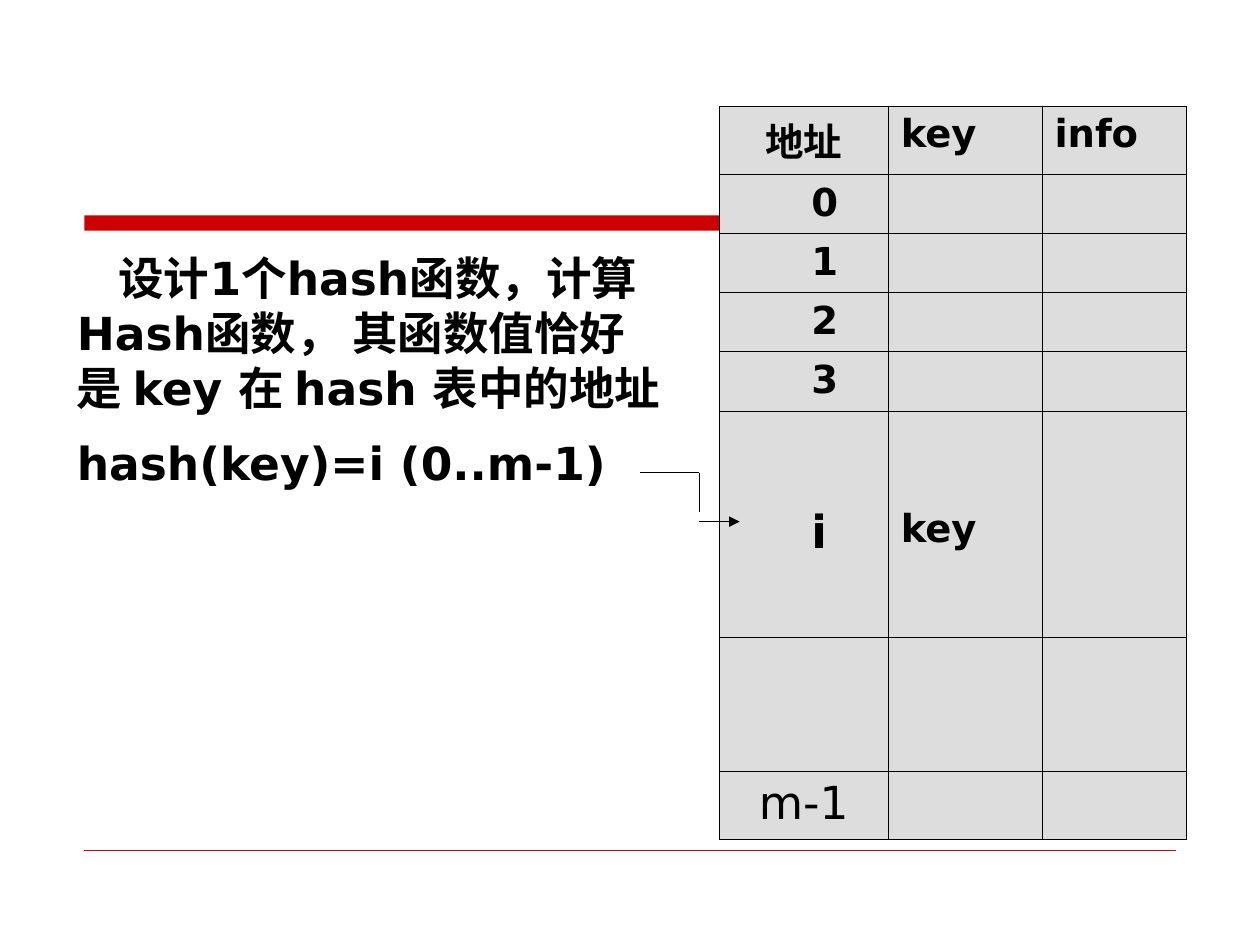
from pptx import Presentation
from pptx.dml.color import RGBColor
from pptx.enum.dml import MSO_LINE
from pptx.enum.shapes import MSO_CONNECTOR, MSO_SHAPE
from pptx.enum.text import MSO_ANCHOR, MSO_AUTO_SIZE, PP_ALIGN
from pptx.oxml.ns import qn
from pptx.util import Inches, Pt
from lxml import etree

STRAIGHT = MSO_CONNECTOR.STRAIGHT
RECTANGLE = MSO_SHAPE.RECTANGLE
SOLID = MSO_LINE.SOLID
TOP = MSO_ANCHOR.TOP
NO_FIT = MSO_AUTO_SIZE.NONE
LEFT, CENTER = PP_ALIGN.LEFT, PP_ALIGN.CENTER

FONT = "DejaVu Sans"
BLACK, RED, GRAY = "000000", "CC0000", "DDDDDD"
DIGIT_INDENT = 0.63

# text, first-line indent in inches, space before in points
BODY = [
    ("设计1个hash函数，计算", -0.18, 0),
    ("Hash函数， 其函数值恰好", -0.51, 6.5),
    ("是 key 在 hash 表中的地址", -0.51, 6.5),
    ("hash(key)=i (0..m-1)", -0.51, 18),
]
ROWS = [
    ("地址", "key", "info"),
    ("0", "", ""),
    ("1", "", ""),
    ("2", "", ""),
    ("3", "", ""),
    ("i", "key", ""),
    ("", "", ""),
    ("m-1", "", ""),
]
COL_WIDTHS = [1.34, 1.22, 1.15]
ROW_HEIGHTS = [0.47] * 5 + [1.8, 1.06, 0.54]
CENTERED = ("地址", "m-1")
LARGE = ("i", "m-1")


def rgb(color):
    """Turn a hex string into a colour."""
    return RGBColor.from_string(color)


def format_runs(p, size, bold=True):
    """Apply the slide's font to every run of a paragraph."""
    for r in p.runs:
        r.font.name = FONT
        r.font.size = Pt(size)
        r.font.bold = bold
        r.font.color.rgb = rgb(BLACK)


def add_bar(s, left, top, width, height):
    """Add the red bar."""
    sp = s.shapes.add_shape(RECTANGLE, *map(Inches, (left, top, width, height)))
    sp.shadow.inherit = False
    sp.fill.solid()
    sp.fill.fore_color.rgb = rgb(RED)
    sp.line.fill.background()


def add_line(s, start, end, color=BLACK, width=0.75, arrow=False):
    """Add a straight line, with an arrowhead at its end if wanted."""
    sp = s.shapes.add_connector(STRAIGHT, *map(Inches, (*start, *end)))
    sp.line.color.rgb = rgb(color)
    sp.line.width = Pt(width)
    sp.line.dash_style = SOLID
    if arrow:
        etree.SubElement(sp.line._get_or_add_ln(), qn("a:tailEnd"), type="triangle")
    etree.SubElement(sp._element.spPr, qn("a:effectLst"))


def fill_body(sp):
    """Place the body placeholder and write its hanging paragraphs."""
    sp.left, sp.top, sp.width, sp.height = map(Inches, (0.51, 2.02, 4.96, 5.83))
    tf = sp.text_frame
    tf.auto_size = NO_FIT
    tf.vertical_anchor = TOP
    tf.text = "\n".join(text for text, _, _ in BODY)
    for p, (_, indent, before) in zip(tf.paragraphs, BODY):
        pPr = p._p.get_or_add_pPr()
        pPr.set("marL", str(Inches(0.51)))
        pPr.set("indent", str(Inches(indent)))
        etree.SubElement(pPr, qn("a:buNone"))
        p.alignment = LEFT
        p.line_spacing = 0.8
        p.space_before = Pt(before)
        format_runs(p, 26)


def add_borders(cell):
    """Draw thin black borders on all sides of a cell."""
    tcPr = cell._tc.get_or_add_tcPr()
    for i, side in enumerate(("a:lnL", "a:lnR", "a:lnT", "a:lnB")):
        ln = etree.Element(qn(side), w=str(Pt(0.45)))
        fill = etree.SubElement(ln, qn("a:solidFill"))
        etree.SubElement(fill, qn("a:srgbClr"), val=BLACK)
        tcPr.insert(i, ln)


def fill_cell(cell, text):
    """Write and format one table cell."""
    cell.fill.solid()
    cell.fill.fore_color.rgb = rgb(GRAY)
    add_borders(cell)
    cell.text = text
    p = cell.text_frame.paragraphs[0]
    p.alignment = CENTER if text in CENTERED else LEFT
    format_runs(p, 26 if text in LARGE else 22, text != "m-1")


def add_hash_table(s):
    """Add the hash table with its address, key and info columns."""
    area = map(Inches, (5.71, 0.84, sum(COL_WIDTHS), sum(ROW_HEIGHTS)))
    table = s.shapes.add_table(len(ROWS), len(COL_WIDTHS), *area).table
    for column, width in zip(table.columns, COL_WIDTHS):
        column.width = Inches(width)
    for row, height, texts in zip(table.rows, ROW_HEIGHTS, ROWS):
        row.height = Inches(height)
        for cell, text in zip(row.cells, texts):
            fill_cell(cell, text)
        if texts[0] == "i" or texts[0].isdigit():
            row.cells[0].margin_left = Inches(0.1 + DIGIT_INDENT)
        if texts[0] == "i":
            for cell in row.cells:
                cell.margin_top = Inches(0.76)


def main():
    """Build the slide and save it."""
    prs = Presentation()
    prs.slide_width, prs.slide_height = Inches(10), Inches(7.5)
    s = prs.slides.add_slide(prs.slide_layouts[1])
    title = s.shapes.title._element
    title.getparent().remove(title)
    add_bar(s, 0.67, 1.71, 5.09, 0.12)
    add_line(s, (0.67, 6.75), (9.33, 6.75), RED, 0.25)
    fill_body(s.placeholders[1])
    add_hash_table(s)
    add_line(s, (5.08, 3.75), (5.55, 3.75))
    add_line(s, (5.55, 3.75), (5.55, 4.06))
    add_line(s, (5.55, 4.14), (5.87, 4.14), arrow=True)
    prs.save("out.pptx")


if __name__ == "__main__":
    main()
